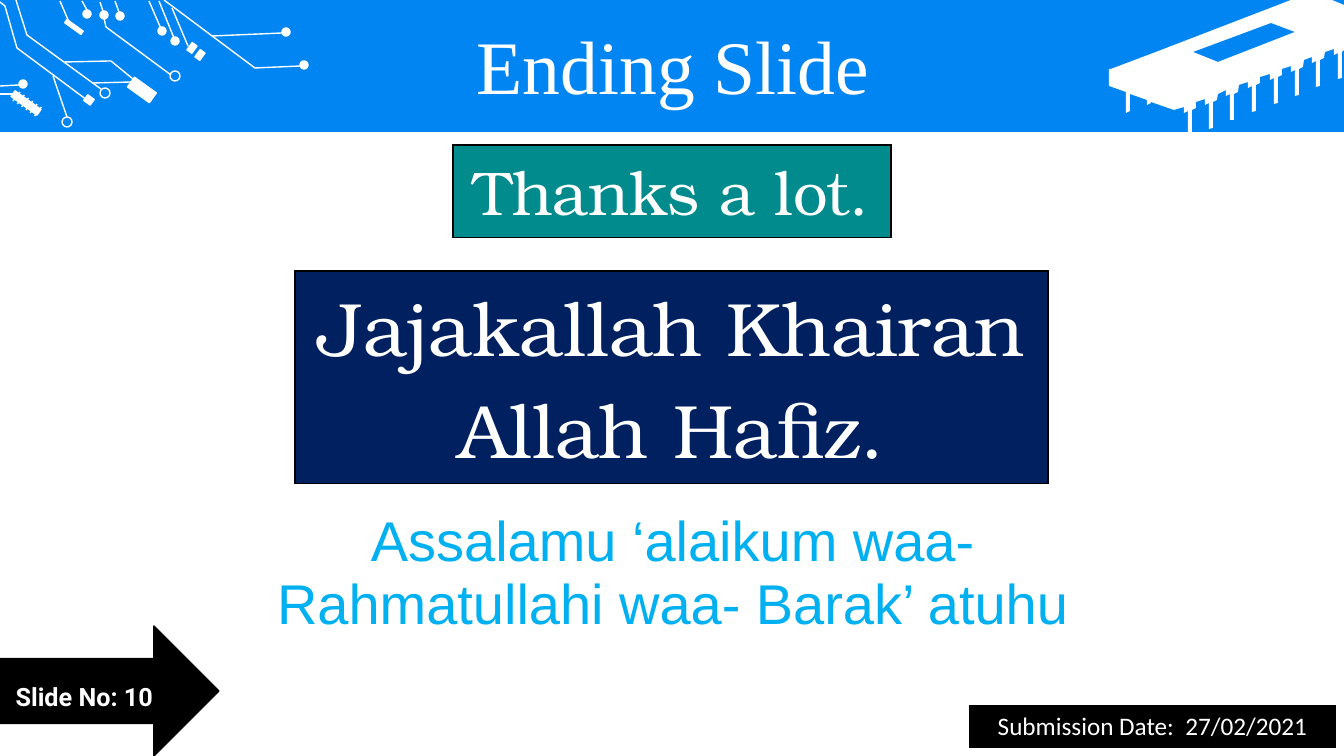
from lxml import etree
from pptx import Presentation
from pptx.dml.color import RGBColor
from pptx.enum.shapes import MSO_CONNECTOR, MSO_SHAPE
from pptx.enum.text import MSO_ANCHOR, PP_ALIGN
from pptx.oxml.ns import qn
from pptx.util import Pt

PX = 914400 / 100.8
COLORS = {"blue": "0085F2", "white": "FFFFFF", "black": "000000",
          "teal": "018B8D", "navy": "002060", "sky": "00B0F0"}
NO_STYLE = "{2D5ABB26-0587-4C30-8999-92F81FD0307C}"
TILT = 35.7

TITLE = "Ending Slide"
# box, lines, font, size, text colour, fill, bordered
TABLES = [
    ((0, 659, 163, 64), ["Slide No: 10"], "Roboto", 18, "white", None, False),
    ((453, 145, 438, 84), ["Thanks a lot."], "TeX Gyre Bonum", 44, "white", "teal", True),
    ((295, 271, 753, 192), ["Jajakallah Khairan", "Allah Hafiz."],
     "TeX Gyre Bonum", 54, "white", "navy", True),
    ((201, 506, 943, 78), ["Assalamu ‘alaikum waa- Rahmatullahi waa- Barak’ atuhu"],
     "Arial", 40, "sky", None, False),
    ((970, 706, 365, 41), ["Submission Date:  27/02/2021"], "Calibri", 18, "white", "black", True),
]

# Circuit: parts are given by centre
DOTS = [(304, 65), (286, 32), (87, 14), (104, 15), (120, 16), (23, 84), (175, 41), (162, 31)]
RINGS = [(175, 76), (105, 93), (67, 122)]
PARTS = [(142, 90, 27, 12), (74, 27, 20, 4), (89, 100, 8, 7),
         (192, 48, 6, 9), (200, 55, 6, 9), (26, 103, 32, 7)]
WIRES = [(60, 1, 69, 22), (82, 1, 87, 10), (100, 2, 103, 11), (115, 1, 119, 12),
         (149, 1, 162, 31), (159, 1, 174, 38), (212, 36, 282, 33), (172, 8, 188, 46),
         (0, 86, 19, 85), (0, 94, 14, 94), (53, 76, 67, 117), (93, 83, 131, 82)]
TEETH = [(13 + 4.3 * i, 101 + 3 * i, 20 + 4.3 * i, 92 + 3 * i) for i in range(6)]
BENT_WIRES = [
    [(164, 0), (255, 68), (301, 66)],
    [(16, 0), (27, 35), (101, 89)],
    [(0, 2), (5, 6), (17, 48), (87, 100)],
    [(65, 62), (111, 61), (133, 79)],
    [(104, 18), (106, 27), (171, 75)],
]

# Chip: eight equal legs run down its front edge
LEG = [(4, -2), (0, 0), (0, 26), (-4, 27), (-4, 1), (-8, 3), (-8, -3), (-17, 0)]
LEGS = [(min(1344, 1342 - 21.5 * i + dx), 52 + 8.3 * i + dy)
        for i in range(8) for dx, dy in LEG]
CHIP = [(1291, 0), (1332, 0), (1344, 5), *LEGS,
        (1151, 102), (1151, 103), (1147, 105), (1147, 100), (1130, 94), (1130, 111),
        (1126, 113), (1126, 92), (1109, 86), (1109, 69), (1111, 69), (1156, 52)]
CHIP_WINDOW = [(1271, 23), (1193, 52), (1218, 62), (1295, 32)]


def px(*lengths):
    return [round(v * PX) for v in lengths]


def rgb(name):
    return RGBColor.from_string(COLORS[name])


def paint(sp, fill=None, line=None):
    sp.shadow.inherit = False
    if fill:
        sp.fill.solid()
        sp.fill.fore_color.rgb = rgb(fill)
    else:
        sp.fill.background()
    if line:
        sp.line.color.rgb = rgb(line)
        sp.line.width = Pt(1)
    else:
        sp.line.fill.background()


def add_preset(shapes, kind, box, fill=None, line=None):
    sp = shapes.add_shape(kind, *px(*box))
    paint(sp, fill, line)
    return sp


def add_centred(shapes, kind, cx, cy, w, h, fill=None):
    sp = add_preset(shapes, kind, (cx - w / 2, cy - h / 2, w, h), fill, "white")
    sp.rotation = TILT


def add_wire(shapes, ends):
    wire = shapes.add_connector(MSO_CONNECTOR.STRAIGHT, *px(*ends))
    wire.line.color.rgb = rgb("white")
    wire.line.width = Pt(1)
    etree.SubElement(wire._element.spPr, qn("a:effectLst"))


def add_outline(shapes, *contours, close=False, fill=None, line=None):
    (x, y), *rest = contours[0]
    builder = shapes.build_freeform(x, y, scale=PX)
    builder.add_line_segments(rest, close=close)
    for start, *points in contours[1:]:
        builder.move_to(*start)
        builder.add_line_segments(points, close=close)
    paint(builder.convert_to_shape(), fill, line)


def add_border(cell):
    tc_pr = cell._tc.get_or_add_tcPr()
    for i, side in enumerate(("lnL", "lnR", "lnT", "lnB")):
        ln = etree.Element(qn(f"a:{side}"), w=str(Pt(1)))
        solid = etree.SubElement(ln, qn("a:solidFill"))
        etree.SubElement(solid, qn("a:srgbClr"), val=COLORS["black"])
        tc_pr.insert(i, ln)


def format_text(tf, font, size, color):
    for p in tf.paragraphs:
        p.alignment = PP_ALIGN.CENTER
        p.font.name = font
        p.font.size = Pt(size)
        p.font.color.rgb = rgb(color)


def add_text_table(shapes, box, lines, font, size, color, fill, bordered):
    table = shapes.add_table(1, 1, *px(*box)).table
    table.first_row = table.horz_banding = False
    table._tbl.tblPr.find(qn("a:tableStyleId")).text = NO_STYLE
    cell = table.cell(0, 0)
    cell.text = "\n".join(lines)
    cell.vertical_anchor = MSO_ANCHOR.MIDDLE
    format_text(cell.text_frame, font, size, color)
    if fill:
        cell.fill.solid()
        cell.fill.fore_color.rgb = rgb(fill)
    else:
        cell.fill.background()
    if bordered:
        add_border(cell)
    return cell


def main():
    prs = Presentation()
    prs.slide_width, prs.slide_height = px(1344, 756)
    s = prs.slides.add_slide(prs.slide_layouts[5])
    shapes = s.shapes

    add_preset(shapes, MSO_SHAPE.RECTANGLE, (0, 0, 1344, 132), "blue")
    add_outline(shapes, CHIP, CHIP_WINDOW, close=True, fill="white")
    for part in PARTS:
        add_centred(shapes, MSO_SHAPE.RECTANGLE, *part, fill="white")
    for x, y in DOTS:
        add_centred(shapes, MSO_SHAPE.OVAL, x, y, 8, 8, fill="white")
    for x, y in RINGS:
        add_centred(shapes, MSO_SHAPE.OVAL, x, y, 10, 10)
    for ends in WIRES + TEETH:
        add_wire(shapes, ends)
    for points in BENT_WIRES:
        add_outline(shapes, points, line="white")

    add_preset(shapes, MSO_SHAPE.RIGHT_ARROW, (0, 626, 219, 130), "black", "black")
    cells = [add_text_table(shapes, *spec) for spec in TABLES]
    number = cells[0].text_frame.paragraphs[0]
    number.alignment = PP_ALIGN.RIGHT
    number.line_spacing = 1.5
    number.font.bold = True

    title = shapes.title
    title.left, title.top, title.width, title.height = px(35, 30, 1276, 80)
    tf = title.text_frame
    tf.text = TITLE
    tf.vertical_anchor = MSO_ANCHOR.MIDDLE
    format_text(tf, "Times New Roman", 54, "white")
    tf.paragraphs[0].line_spacing = 0.9
    shapes._spTree.append(title._element)  # in front of the band

    prs.save("out.pptx")


if __name__ == "__main__":
    main()
